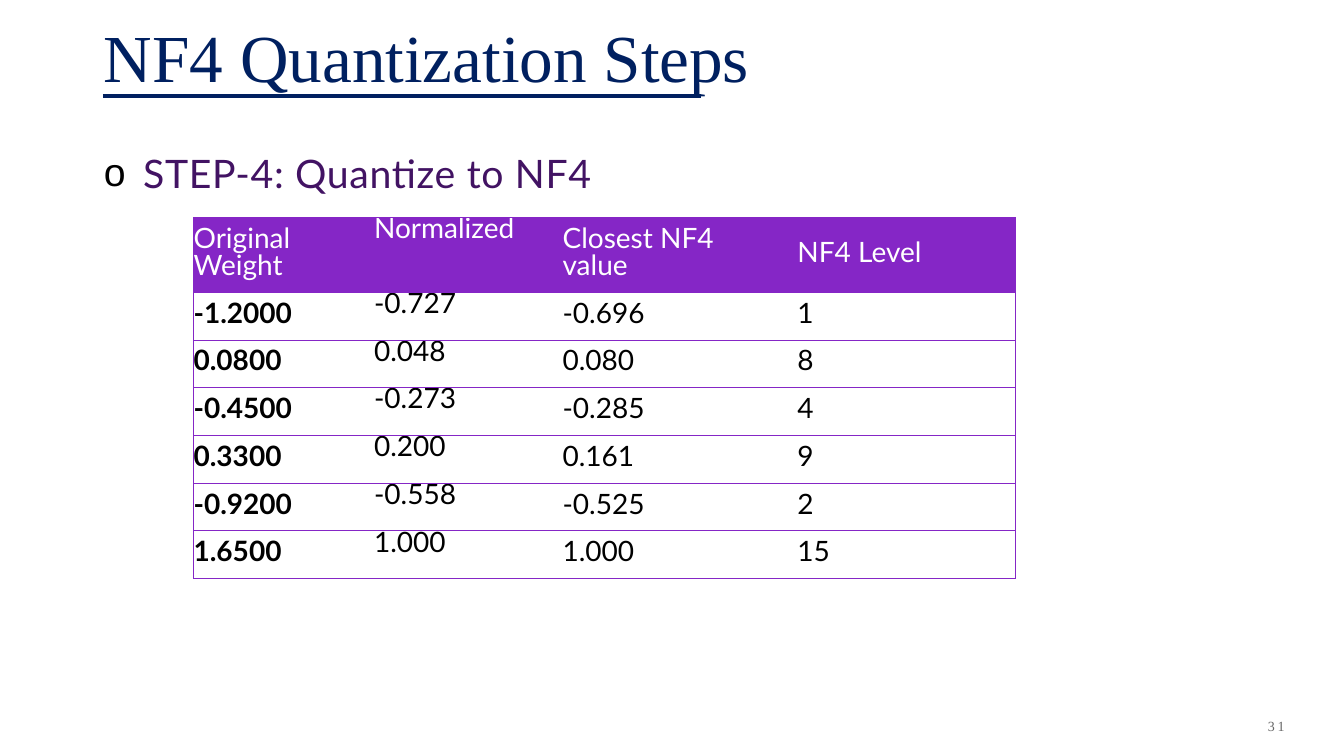
import dataclasses

import pptx
import pptx.dml.color
import pptx.enum.shapes
import pptx.enum.text
import pptx.oxml
import pptx.oxml.ns
import pptx.util

Inches = pptx.util.Inches
Pt = pptx.util.Pt
RGBColor = pptx.dml.color.RGBColor
ANCHOR = pptx.enum.text.MSO_ANCHOR
ALIGN = pptx.enum.text.PP_ALIGN

NAVY = RGBColor(0x00, 0x20, 0x60)
PLUM = RGBColor(0x42, 0x13, 0x63)
PURPLE = RGBColor(0x85, 0x26, 0xC6)
BLACK = RGBColor(0x00, 0x00, 0x00)
WHITE = RGBColor(0xFF, 0xFF, 0xFF)
GREY = RGBColor(0x66, 0x66, 0x66)
SERIF = "Times New Roman"
SANS = "Lato"

COLUMN_WIDTHS = (1.78, 1.71, 2.33, 2.33)
HEADER_HEIGHT = 0.74
HEADERS = ("Original Weight", "Normalized", "Closest NF4 value", "NF4 Level")
WEIGHTS = (
    ("-1.2000", "-0.727", "-0.696", "1"),
    ("0.0800", "0.048", "0.080", "8"),
    ("-0.4500", "-0.273", "-0.285", "4"),
    ("0.3300", "0.200", "0.161", "9"),
    ("-0.9200", "-0.558", "-0.525", "2"),
    ("1.6500", "1.000", "1.000", "15"),
)


@dataclasses.dataclass
class Box:
    left: float
    top: float
    width: float
    height: float

    def lengths(self):
        return [Inches(value) for value in dataclasses.astuple(self)]


def xml(text):
    namespaces = pptx.oxml.ns.nsdecls("a")
    return pptx.oxml.parse_xml(text.replace("NS", namespaces, 1))


def place(shape, box):
    shape.left, shape.top, shape.width, shape.height = box.lengths()


def write(frame, text, *, font, size, color, bold=False, align=ALIGN.LEFT,
          anchor=ANCHOR.TOP, line_spacing=None, after=0, tracking=0):
    frame.word_wrap = True
    frame.vertical_anchor = anchor
    para = frame.paragraphs[0]
    para.alignment = align
    para.line_spacing = line_spacing
    para.space_before = Pt(0)
    para.space_after = Pt(after)
    span = para.add_run()
    span.text = text
    span.font.name = font
    span.font.size = Pt(size)
    span.font.bold = bold
    span.font.color.rgb = color
    if tracking:
        span.font._element.set("spc", str(int(tracking * 100)))
    return para


def add_title(page, box):
    title = page.shapes.title
    place(title, box)
    title.text_frame.auto_size = pptx.enum.text.MSO_AUTO_SIZE.NONE
    write(title.text_frame, "NF4 Quantization Steps", font=SERIF, size=48,
          color=NAVY, anchor=ANCHOR.BOTTOM)
    rule_top = Inches(box.top + box.height - 0.05)
    rule_left = Inches(box.left + 0.09)
    rule = page.shapes.add_connector(
        pptx.enum.shapes.MSO_CONNECTOR.STRAIGHT,
        rule_left, rule_top, rule_left + Inches(5.93), rule_top)
    rule.line.color.rgb = NAVY
    rule.line.width = Pt(2.5)
    rule._element.spPr.append(xml("<a:effectLst NS/>"))


def add_step(page, box):
    body = page.placeholders[1]
    place(body, box)
    body.text_frame.auto_size = pptx.enum.text.MSO_AUTO_SIZE.NONE
    para = write(body.text_frame, "STEP-4: Quantize to NF4", font=SANS, size=28,
                 color=PLUM, line_spacing=1.5, tracking=0.5)
    properties = para._p.get_or_add_pPr()
    properties.set("marL", str(Inches(0.39)))
    properties.set("indent", str(Inches(-0.39)))
    properties.append(xml(f'<a:buClr NS><a:srgbClr val="{BLACK}"/></a:buClr>'))
    properties.append(xml('<a:buChar NS char="o"/>'))


def add_borders(cell, sides):
    properties = cell._tc.get_or_add_tcPr()
    for side in "LRTB":
        paint = "<a:noFill/>"
        if side in sides:
            paint = f'<a:solidFill><a:srgbClr val="{PURPLE}"/></a:solidFill>'
        properties.append(xml(f'<a:ln{side} NS w="{Pt(0.75)}">{paint}</a:ln{side}>'))


def fill_cell(cell, text, row, column):
    last = len(HEADERS) - 1
    is_header = row == 0
    is_normalized = column == 1
    add_borders(cell, "TB" + {0: "L", last: "R"}.get(column, ""))
    if is_header:
        cell.fill.solid()
        cell.fill.fore_color.rgb = PURPLE
    else:
        cell.fill.background()
    side, edge = (0.01, 0.01) if is_normalized else (0.17, 0.1)
    cell.margin_left = Inches(0 if column == 0 else side)
    cell.margin_right = Inches(0 if column == last and not is_header else side)
    cell.margin_top = cell.margin_bottom = Inches(edge)
    anchor = ANCHOR.TOP if is_normalized else ANCHOR.MIDDLE
    write(cell.text_frame, text, font=SANS, size=20,
          color=WHITE if is_header else BLACK,
          bold=column == 0 and not is_header,
          line_spacing=Pt(18.8), after=8)
    cell.vertical_anchor = anchor


def add_weights(page, box):
    rows = (HEADERS,) + WEIGHTS
    table = page.shapes.add_table(len(rows), len(HEADERS), *box.lengths()).table
    table.first_row = table.horz_banding = False
    for column, width in zip(table.columns, COLUMN_WIDTHS):
        column.width = Inches(width)
    row_height = (box.height - HEADER_HEIGHT) / len(WEIGHTS)
    for row, texts in enumerate(rows):
        table.rows[row].height = Inches(row_height if row else HEADER_HEIGHT)
        for column, text in enumerate(texts):
            fill_cell(table.cell(row, column), text, row, column)


def add_page_number(page, box):
    number = page.shapes.add_textbox(*box.lengths())
    write(number.text_frame, "31", font=SERIF, size=10, color=GREY,
          align=ALIGN.RIGHT, anchor=ANCHOR.MIDDLE, tracking=2)


def main():
    deck = pptx.Presentation()
    deck.slide_width = Inches(13.33)
    deck.slide_height = Inches(7.5)
    page = deck.slides.add_slide(deck.slide_layouts[1])
    add_title(page, Box(0.93, -0.22, 11.53, 1.22))
    add_step(page, Box(0.93, 1.2, 11.53, 5.67))
    add_page_number(page, Box(10.92, 6.95, 1.92, 0.5))
    add_weights(page, Box(1.92, 2.16, sum(COLUMN_WIDTHS), 3.58))
    deck.save("out.pptx")


if __name__ == "__main__":
    main()
